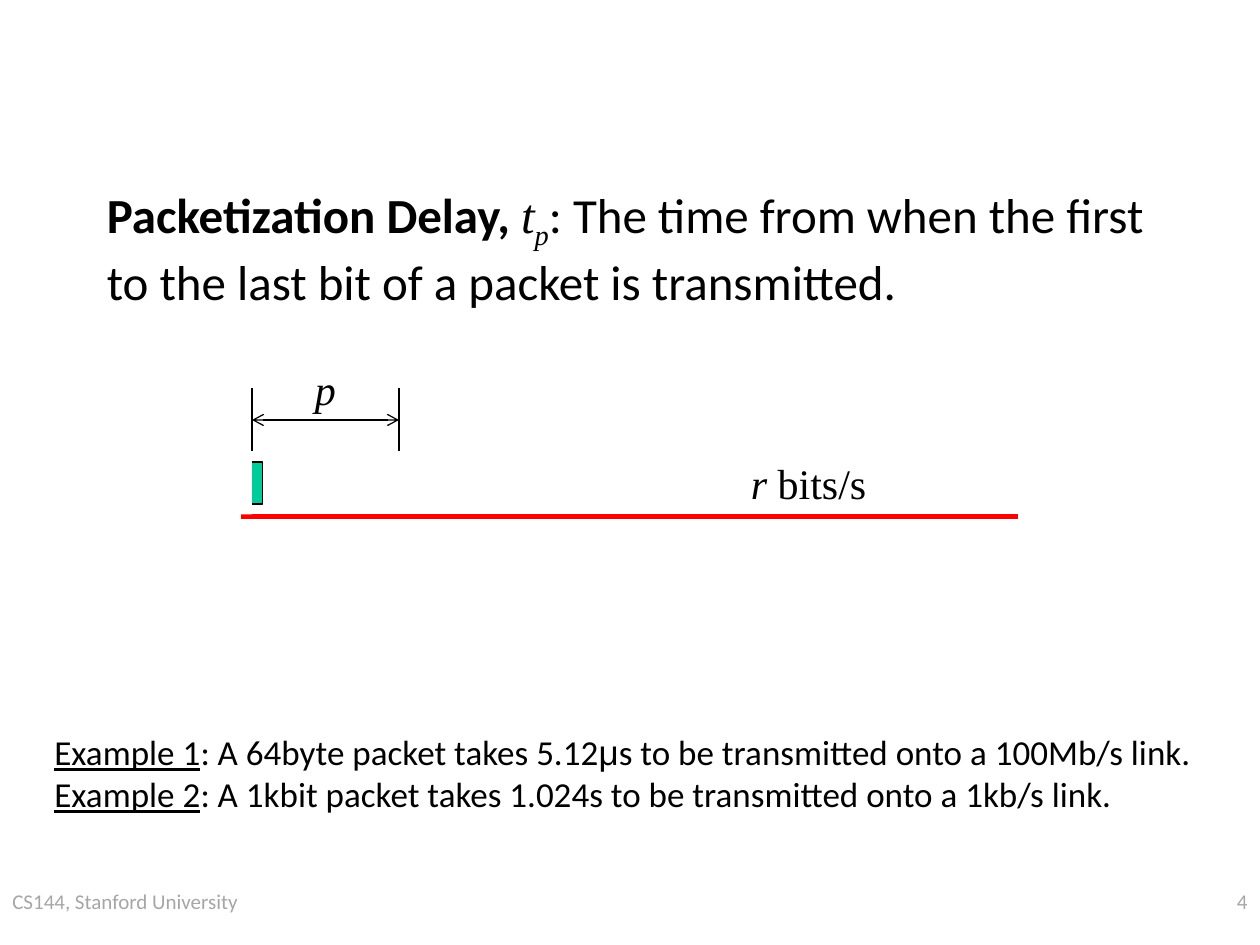
from lxml import etree
from pptx import Presentation
from pptx.dml.color import RGBColor
from pptx.enum.shapes import MSO_CONNECTOR, MSO_SHAPE
from pptx.enum.text import PP_ALIGN
from pptx.oxml.ns import qn
from pptx.util import Pt

STRAIGHT = MSO_CONNECTOR.STRAIGHT
RECTANGLE = MSO_SHAPE.RECTANGLE
LEFT, RIGHT = PP_ALIGN.LEFT, PP_ALIGN.RIGHT

COLORS = {"ink": "000000", "muted": "A6A6A6", "link": "FF0000",
          "packet": "00CC99", "paper": "FFFFFF"}
SANS, SERIF, SYMBOL = "Calibri", "Times New Roman", "Arial"

VARIABLE = {"font": SERIF, "italic": True}
UNDERLINED = {"underline": True}

DEFINITION = [[
    ("Packetization Delay, ", {"bold": True}),
    ("t", VARIABLE),
    ("p", {**VARIABLE, "baseline": -25000}),
    (": The time from when the first to the last bit of a packet is transmitted.", {}),
]]
EXAMPLES = [
    [("Example 1", UNDERLINED),
     (": A 64byte packet takes 5.12", {}),
     ("μ", {"font": SYMBOL}),
     ("s to be transmitted onto a 100Mb/s link.", {})],
    [("Example 2", UNDERLINED),
     (": A 1kbit packet takes 1.024s to be transmitted onto a 1kb/s link.", {})],
]
PACKET_LENGTH = [[("p", VARIABLE)]]
LINK_RATE = [[("r", VARIABLE), (" bits/s", {"font": SERIF})]]
FOOTER = [[("CS144, Stanford University", {})]]
PAGE_NUMBER = [[("4", {})]]

LINK_START, LINK_END, LINK_Y = 138, 582, 295
SPAN_START, SPAN_END, SPAN_Y, TICK_HALF = 144, 228, 240, 18


def rgb(name):
    return RGBColor.from_string(COLORS[name])


def add_text(slide, paragraphs, box, size=12, color="ink", align=LEFT, wrap=True):
    tf = slide.shapes.add_textbox(*map(Pt, box)).text_frame
    tf.word_wrap = wrap
    for i, runs in enumerate(paragraphs):
        p = tf.add_paragraph() if i else tf.paragraphs[0]
        p.alignment = align
        for text, style in runs:
            r = p.add_run()
            r.text = text
            r.font.size = Pt(size)
            r.font.name = style.get("font", SANS)
            r.font.bold = style.get("bold", False)
            r.font.italic = style.get("italic", False)
            r.font.underline = style.get("underline", False)
            r.font.color.rgb = rgb(color)
            if "baseline" in style:
                r.font._element.set("baseline", str(style["baseline"]))


def add_line(slide, x1, y1, x2, y2, color="ink", width=0.75, arrows=False):
    s = slide.shapes.add_connector(STRAIGHT, Pt(x1), Pt(y1), Pt(x2), Pt(y2))
    s.line.color.rgb = rgb(color)
    s.line.width = Pt(width)
    if arrows:
        ln = s.line._get_or_add_ln()
        for end in ("a:headEnd", "a:tailEnd"):
            etree.SubElement(ln, qn(end)).set("type", "arrow")
    etree.SubElement(s._element.spPr, qn("a:effectLst"))


def add_rect(slide, box, fill, line=None):
    s = slide.shapes.add_shape(RECTANGLE, *map(Pt, box))
    s.shadow.inherit = False
    s.fill.solid()
    s.fill.fore_color.rgb = rgb(fill)
    if line:
        s.line.color.rgb = rgb(line)
        s.line.width = Pt(0.75)
    else:
        s.line.fill.background()


def main():
    prs = Presentation()
    prs.slide_width, prs.slide_height = Pt(720), Pt(540)
    slide = prs.slides.add_slide(prs.slide_layouts[6])

    add_text(slide, FOOTER, (0, 504, 174, 36), color="muted")
    add_text(slide, PAGE_NUMBER, (570, 504, 150, 36), color="muted", align=RIGHT)
    add_line(slide, LINK_START, LINK_Y, LINK_END, LINK_Y, color="link", width=3)
    add_text(slide, DEFINITION, (54, 102, 618, 96), size=28)

    for x in (SPAN_START, SPAN_END):
        add_line(slide, x, SPAN_Y - TICK_HALF, x, SPAN_Y + TICK_HALF)
    add_line(slide, SPAN_START, SPAN_Y, SPAN_END, SPAN_Y, arrows=True)
    add_text(slide, PACKET_LENGTH, (172.8, 204, 36.5, 36), size=24, wrap=False)

    add_text(slide, EXAMPLES, (24, 414, 672.5, 55.5), size=20, wrap=False)
    add_text(slide, LINK_RATE, (422, 258, 82.8, 36), size=24, wrap=False)
    add_rect(slide, (142.5, 264, 7.7, 24), "packet", line="ink")
    add_rect(slide, (54, 258, SPAN_START - 54, 36), "paper")

    prs.save("out.pptx")


if __name__ == "__main__":
    main()
